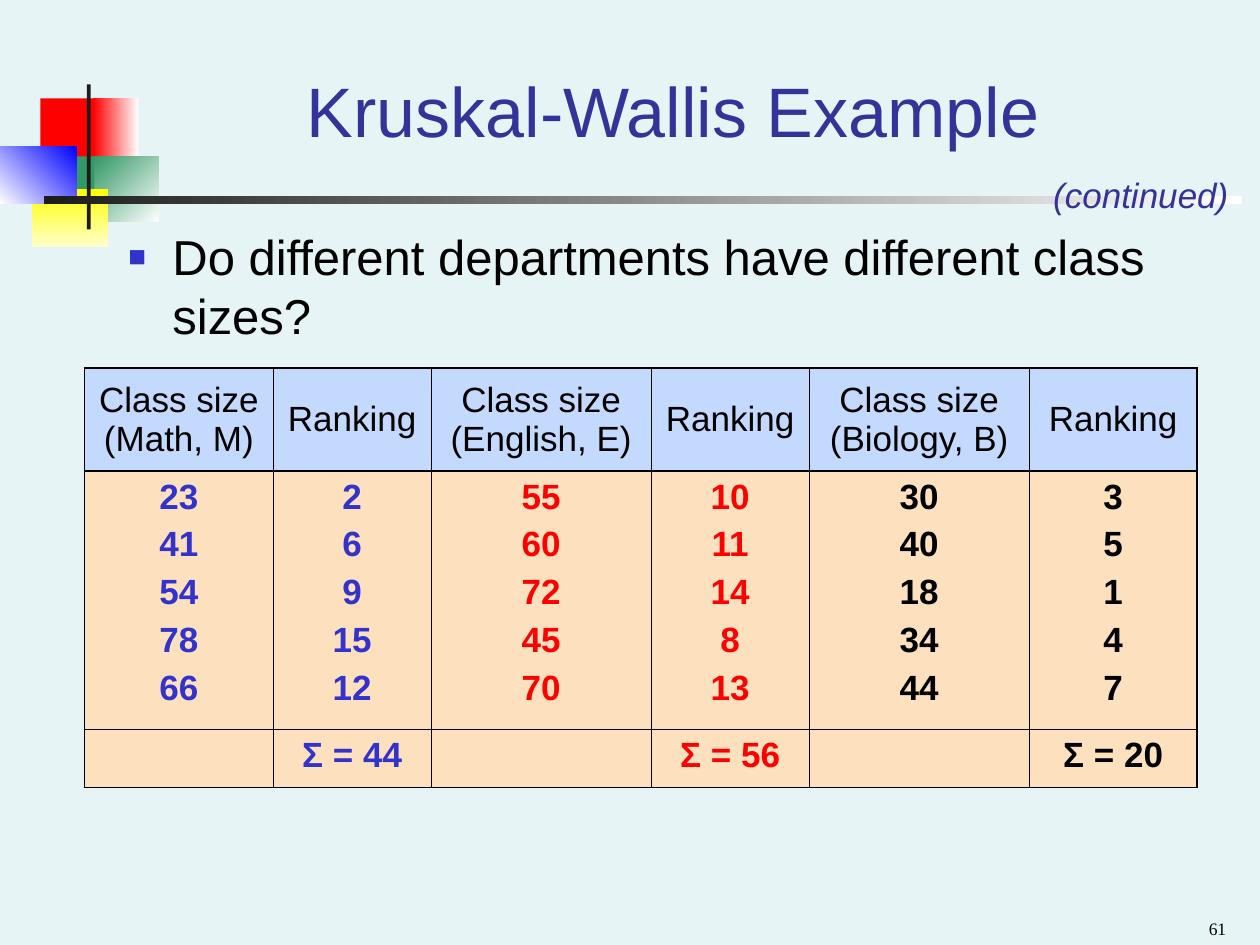
import pptx
import pptx.util
import pptx.dml.color
import pptx.enum.shapes
import pptx.enum.text
import pptx.oxml.ns
from lxml import etree

COLORS = {
    "bg": "E7F4F5", "title": "333399", "black": "000000", "ink": "1C1C1C",
    "white": "FFFFFF", "red": "FF0000", "green": "339966", "yellow": "FFFF00",
    "cream": "FFFFCC", "blue": "0000FF", "accent": "3333CC",
    "header": "C4D9FE", "body": "FDE0BD",
}
ALIGN = pptx.enum.text.PP_ALIGN
ANCHOR = pptx.enum.text.MSO_ANCHOR
qn = pptx.oxml.ns.qn


def rgb(name):
    return pptx.dml.color.RGBColor.from_string(COLORS[name])


def write(tf, text, size=20, color="black", font="Arial", bold=False, italic=False,
          align=ALIGN.LEFT, before=0, spacing=None, bullet=None):
    for i, line in enumerate(text.split("\n")):
        p = tf.add_paragraph() if i else tf.paragraphs[0]
        p.alignment = align
        p.space_before = pptx.util.Pt(before)
        if spacing:
            p.line_spacing = spacing
        if bullet:
            pPr = p._p.get_or_add_pPr()
            indent = pptx.util.Inches(0.35)
            pPr.set("marL", str(indent))
            pPr.set("indent", str(-indent))
            clr = etree.SubElement(pPr, qn("a:buClr"))
            etree.SubElement(clr, qn("a:srgbClr"), val=COLORS["accent"])
            etree.SubElement(pPr, qn("a:buSzPct"), val="60000")
            etree.SubElement(pPr, qn("a:buFont"), typeface=font)
            etree.SubElement(pPr, qn("a:buChar"), char=bullet)
        r = p.add_run()
        r.text = line
        r.font.name, r.font.size = font, pptx.util.Pt(size)
        r.font.bold, r.font.italic = bold, italic
        r.font.color.rgb = rgb(color)


class Deck:
    """Draws on the current slide, with lengths in columns and rows of a 100 by 75 grid."""

    def __init__(self):
        self.prs = pptx.Presentation()
        self.prs.slide_width = pptx.util.Inches(10)
        self.prs.slide_height = pptx.util.Inches(7.5)
        self.col = self.prs.slide_width / 100
        self.row = self.prs.slide_height / 75
        self.s = self.prs.slides.add_slide(self.prs.slide_layouts[6])
        self.s.background.fill.solid()
        self.s.background.fill.fore_color.rgb = rgb("bg")

    def box(self, x, y, w, h):
        return [round(v) for v in (x * self.col, y * self.row, w * self.col, h * self.row)]

    def rect(self, at, start, end=None, angle=0):
        sp = self.s.shapes.add_shape(pptx.enum.shapes.MSO_SHAPE.RECTANGLE, *self.box(*at))
        sp.shadow.inherit = False
        sp.line.fill.background()
        if end is None:
            sp.fill.solid()
            sp.fill.fore_color.rgb = rgb(start)
            return
        sp.fill.gradient()
        sp.fill.gradient_angle = angle
        for stop, color in zip(sp.fill.gradient_stops, (start, end)):
            stop.color.rgb = rgb(color)

    def text(self, at, text, anchor=ANCHOR.TOP, wrap=True, **fmt):
        tf = self.s.shapes.add_textbox(*self.box(*at)).text_frame
        tf.word_wrap = wrap
        tf.vertical_anchor = anchor
        write(tf, text, **fmt)

    def border(self, cell, sides):
        tcPr = cell._tc.get_or_add_tcPr()
        for side, width in sides.items():
            ln = etree.SubElement(tcPr, qn("a:" + side), w=str(pptx.util.Pt(width)))
            fill = etree.SubElement(ln, qn("a:solidFill"))
            etree.SubElement(fill, qn("a:srgbClr"), val=COLORS["black"])

    def table(self, x, y, widths, heights, rows, colors):
        at = self.box(x, y, sum(widths), sum(heights))
        tbl = self.s.shapes.add_table(len(rows), len(widths), *at).table
        tbl.first_row = tbl.horz_banding = False
        for c, w in zip(tbl.columns, widths):
            c.width = round(w * self.col)
        for i, (h, row) in enumerate(zip(heights, rows)):
            tbl.rows[i].height = round(h * self.row)
            for j, text in enumerate(row):
                cell = tbl.cell(i, j)
                self.border(cell, {"lnL": 0.45 if j else 1.08,
                                   "lnR": 0.45 if j < len(row) - 1 else 1.08,
                                   "lnT": 1.08, "lnB": 1.08})
                cell.fill.solid()
                cell.fill.fore_color.rgb = rgb("body" if i else "header")
                cell.vertical_anchor = ANCHOR.TOP if i else ANCHOR.MIDDLE
                if text:
                    write(cell.text_frame, text, bold=i > 0, before=5, align=ALIGN.CENTER,
                          color=colors[j // 2] if i else "black")


deck = Deck()
for block in (
    ((3.2, 7.8, 4.8, 5.2), "red"),
    ((7.4, 7.8, 3.6, 5.2), "white", "red", 180),
    ((7.5, 12.4, 5.1, 5.2), "white", "green", 135),
    ((4.3, 12.4, 3.2, 5.2), "green"),
    ((2.5, 15, 6.1, 4.6), "yellow", "cream", 270),
    ((0, 11.6, 6.1, 4.6), "blue", "white", 225),
    ((6.9, 6.7, 0.3, 11.5), "ink"),
    ((3.5, 15.6, 95.1, 0.6), "white", "ink", 180),
):
    deck.rect(*block)

deck.text((9.2, 17.5, 87.5, 11.9), "Do different departments have different class sizes?",
          size=28, before=7, bullet="\u25a0")
deck.text((10.8, 3.3, 85.2, 9.2), "Kruskal-Wallis Example", anchor=ANCHOR.BOTTOM,
          size=40, color="title", align=ALIGN.CENTER, spacing=0.8)

departments = {
    "Math, M": ((23, 41, 54, 78, 66), (2, 6, 9, 15, 12)),
    "English, E": ((55, 60, 72, 45, 70), (10, 11, 14, 8, 13)),
    "Biology, B": ((30, 40, 18, 34, 44), (3, 5, 1, 4, 7)),
}
header, values, totals = [], [], []
for name, (sizes, ranks) in departments.items():
    header += [f"Class size ({name})", "Ranking"]
    values += ["\n".join(map(str, column)) for column in (sizes, ranks)]
    totals += ["", f"Σ = {sum(ranks)}"]
deck.table(6.7, 29.2, (15, 12.5, 17.5, 12.5, 17.5, 13.3), (8.2, 20.5, 4.6),
           (header, values, totals), ("accent", "red", "black"))

deck.text((82.6, 13.3, 15.9, 4.4), "(continued)", wrap=False, color="title", italic=True)
deck.text((75, 71.5, 23.3, 3.5), "61", anchor=ANCHOR.BOTTOM, size=10,
          font="Times New Roman", align=ALIGN.RIGHT)
deck.prs.save("out.pptx")
